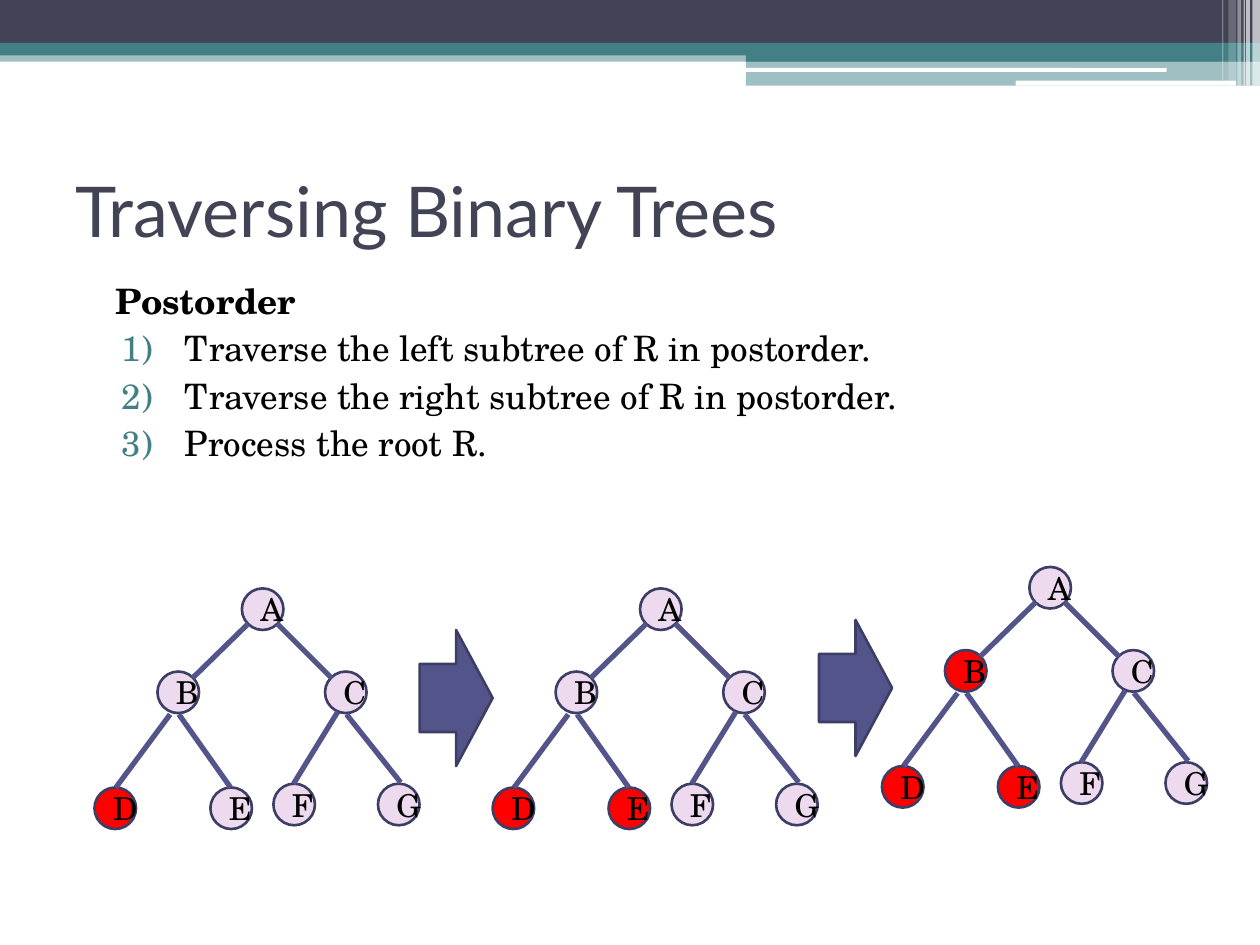
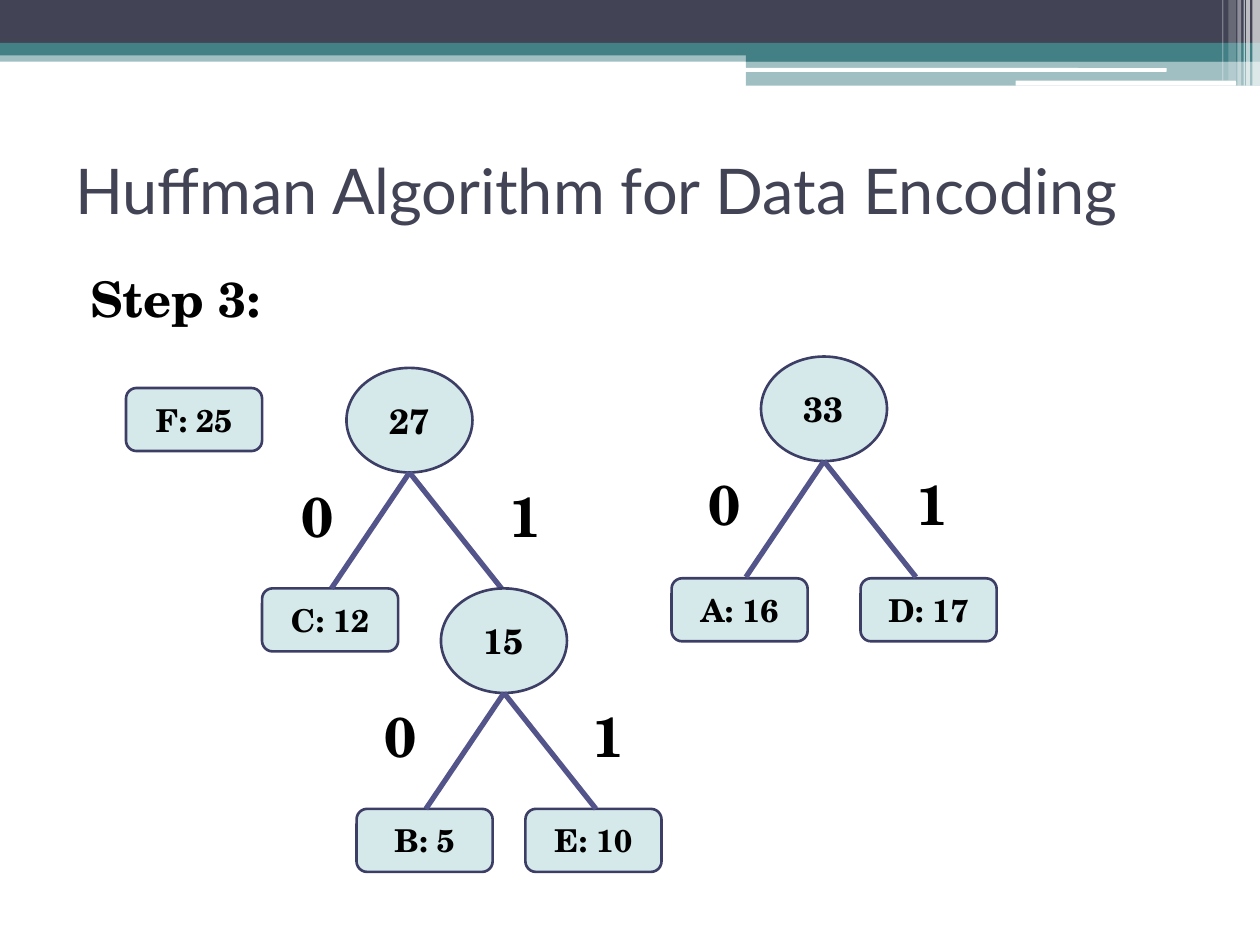
import lxml.etree
import pptx
import pptx.dml.color
import pptx.enum.shapes
import pptx.enum.text
import pptx.oxml.ns
import pptx.util

Inches = pptx.util.Inches
Pt = pptx.util.Pt
RGBColor = pptx.dml.color.RGBColor
Shape = pptx.enum.shapes.MSO_SHAPE
Align = pptx.enum.text.PP_ALIGN
Anchor = pptx.enum.text.MSO_ANCHOR
qn = pptx.oxml.ns.qn

SLATE = RGBColor(0x42, 0x44, 0x56)
TEAL = RGBColor(0x43, 0x80, 0x86)
INDIGO = RGBColor(0x53, 0x54, 0x8A)
OUTLINE = RGBColor(0x3D, 0x3E, 0x66)
LILAC = RGBColor(0xED, 0xDA, 0xEE)
PALE_TEAL = RGBColor(0xD6, 0xE9, 0xEA)
RED = RGBColor(0xFF, 0, 0)
WHITE = RGBColor(0xFF, 0xFF, 0xFF)
BLACK = RGBColor(0, 0, 0)

HEADING_FONT = "Lato"
BODY_FONT = "TeX Gyre Schola"

BANDS = [
    (0, 0.4, 10, 0.09, TEAL, 50),
    (0, 0, 10, 0.34, SLATE, 100),
    (0, 0.34, 10, 0.1, TEAL, 100),
    (5.92, 0.39, 4.08, 0.1, TEAL, 100),
    (5.92, 0.48, 4.08, 0.2, TEAL, 50),
    (5.91, 0.54, 3.35, 0.03, WHITE, 100),
    (8.06, 0.64, 1.75, 0.04, WHITE, 100),
    (9.94, 0, 0.06, 0.68, WHITE, 65),
    (9.89, 0, 0.03, 0.68, WHITE, 65),
    (9.87, 0, 0.01, 0.68, WHITE, 60),
    (9.82, 0, 0.03, 0.68, WHITE, 40),
    (9.75, 0, 0.06, 0.64, WHITE, 20),
    (9.7, 0, 0.01, 0.64, WHITE, 30),
]

TREE_NODES = {
    "B": (-0.67, 0.66),
    "A": (0, 0),
    "D": (-1.17, 1.58),
    "E": (-0.25, 1.58),
    "C": (0.66, 0.66),
    "F": (0.25, 1.55),
    "G": (1.08, 1.55),
}
TREE_EDGES = [
    (0.05, 0.28, -0.39, 0.71),
    (-0.57, 1, -1, 1.58),
    (0.28, 0.28, 0.71, 0.71),
    (0.76, 0.98, 0.41, 1.55),
    (-0.5, 1, -0.09, 1.58),
    (0.83, 1, 1.26, 1.54),
]


class Painter:
    def __init__(self, deck):
        self.deck = deck
        self.page = None

    def start_page(self, title, top, size):
        self.page = self.deck.slides.add_slide(self.deck.slide_layouts[6])
        for left, band_top, width, height, color, opacity in BANDS:
            rounded = color == WHITE and opacity == 100
            kind = Shape.ROUNDED_RECTANGLE if rounded else Shape.RECTANGLE
            self.shape(kind, left, band_top, width, height, color, None, opacity)
        box = self.text_box(0.5, top, 9, 1.17)
        box.text_frame.vertical_anchor = Anchor.MIDDLE
        self.add_span(box.text_frame.paragraphs[0], title, size,
                      color=SLATE, name=HEADING_FONT)

    def text_box(self, left, top, width, height):
        box = self.page.shapes.add_textbox(
            Inches(left), Inches(top), Inches(width), Inches(height))
        box.text_frame.word_wrap = True
        return box

    def add_span(self, para, text, size, color=BLACK, **format_values):
        span = para.add_run()
        span.text = text
        values = {"name": BODY_FONT, "size": Pt(size), "bold": False, **format_values}
        for attribute, value in values.items():
            setattr(span.font, attribute, value)
        span.font.color.rgb = color

    def indent(self, para, margin, hanging=0):
        properties = para._p.get_or_add_pPr()
        properties.set("marL", str(Inches(margin)))
        properties.set("indent", str(-Inches(hanging)))
        return properties

    def heading(self, box, text, size, margin):
        para = box.text_frame.paragraphs[0]
        self.indent(para, margin)
        self.add_span(para, text, size, bold=True)

    def numbered(self, box, text, size):
        para = box.text_frame.add_paragraph()
        properties = self.indent(para, 0.95, 0.5)
        tint = lxml.etree.SubElement(properties, qn("a:buClr"))
        lxml.etree.SubElement(tint, qn("a:srgbClr"), val=str(TEAL))
        lxml.etree.SubElement(properties, qn("a:buFont"), typeface=BODY_FONT)
        lxml.etree.SubElement(properties, qn("a:buAutoNum"), type="arabicParenR")
        para.space_before = Pt(3)
        self.add_span(para, text, size)

    def shape(self, kind, left, top, width, height, fill, line=OUTLINE, opacity=100):
        shape = self.page.shapes.add_shape(
            kind, Inches(left), Inches(top), Inches(width), Inches(height))
        shape.shadow.inherit = False
        shape.fill.solid()
        shape.fill.fore_color.rgb = fill
        if opacity < 100:
            tint = shape._element.spPr.find(qn("a:solidFill"))[0]
            lxml.etree.SubElement(tint, qn("a:alpha"), val=str(opacity * 1000))
        if line is None:
            shape.line.fill.background()
        else:
            shape.line.color.rgb = line
            shape.line.width = Pt(1.5)
        return shape

    def label(self, shape, text, size, bold=True):
        shape.text_frame.vertical_anchor = Anchor.MIDDLE
        para = shape.text_frame.paragraphs[0]
        para.alignment = Align.CENTER
        self.add_span(para, text, size, bold=bold)

    def edge(self, start_x, start_y, end_x, end_y):
        edge = self.page.shapes.add_connector(
            pptx.enum.shapes.MSO_CONNECTOR.STRAIGHT,
            Inches(start_x), Inches(start_y), Inches(end_x), Inches(end_y))
        edge.line.color.rgb = INDIGO
        edge.line.width = Pt(3)
        lxml.etree.SubElement(edge._element.spPr, qn("a:effectLst"))

    def binary_tree(self, left, top, visited):
        for letter, (x, y) in TREE_NODES.items():
            fill = RED if letter in visited else LILAC
            node = self.shape(Shape.OVAL, left + x, top + y, 0.33, 0.33, fill)
            self.label(node, letter, 18, bold=False)
        for start_x, start_y, end_x, end_y in TREE_EDGES:
            self.edge(left + start_x, top + start_y, left + end_x, top + end_y)

    def leaf(self, text, left, top):
        leaf = self.shape(Shape.ROUNDED_RECTANGLE, left, top, 1.08, 0.5, PALE_TEAL)
        self.label(leaf, text, 18)

    def huffman_branch(self, weight, left, top, zero_left):
        node = self.shape(Shape.OVAL, left, top, 1, 0.83, PALE_TEAL)
        self.label(node, weight, 20)
        for end_x in (-0.12, 1.23):
            self.edge(left + 0.5, top + 0.83, left + end_x, top + 1.75)
        for bit in range(2):
            box = self.shape(Shape.RECTANGLE, zero_left + bit * 1.65, top + 0.83,
                             0.5, 0.67, WHITE, None)
            self.label(box, str(bit), 32)


def traversal_page(painter):
    painter.start_page("Traversing Binary Trees", 1.08, 40)
    box = painter.text_box(0.42, 2.17, 9.33, 5.17)
    painter.heading(box, "Postorder", 20, 0.4)
    for step in (
        "Traverse the left subtree of R in postorder.",
        "Traverse the right subtree of R in postorder.",
        "Process the root R.",
    ):
        painter.numbered(box, step, 20)
    for left, top, visited in ((1.92, 4.67, "D"), (5.08, 4.67, "DE"), (8.17, 4.5, "DEB")):
        painter.binary_tree(left, top, visited)
    for left, top in ((3.33, 5), (6.5, 4.92)):
        painter.shape(Shape.RIGHT_ARROW, left, top, 0.58, 1.08, INDIGO)


def huffman_page(painter):
    painter.start_page("Huffman Algorithm for Data Encoding", 0.92, 36)
    box = painter.text_box(0.5, 2.08, 9, 4.92)
    painter.heading(box, "Step 3:", 28, 0.12)
    for text, left, top in (
        ("B: 5", 2.83, 6.42),
        ("E: 10", 4.17, 6.42),
        ("C: 12", 2.08, 4.67),
        ("A: 16", 5.33, 4.59),
        ("D: 17", 6.83, 4.59),
        ("F: 25", 1, 3.08),
    ):
        painter.leaf(text, left, top)
    for weight, left, top, zero_left in (
        ("27", 2.75, 2.92, 2.27),
        ("15", 3.5, 4.67, 2.93),
        ("33", 6.04, 2.83, 5.5),
    ):
        painter.huffman_branch(weight, left, top, zero_left)


def main():
    deck = pptx.Presentation()
    deck.slide_width = Inches(10)
    deck.slide_height = Inches(7.5)
    painter = Painter(deck)
    traversal_page(painter)
    huffman_page(painter)
    deck.save("out.pptx")


if __name__ == "__main__":
    main()
